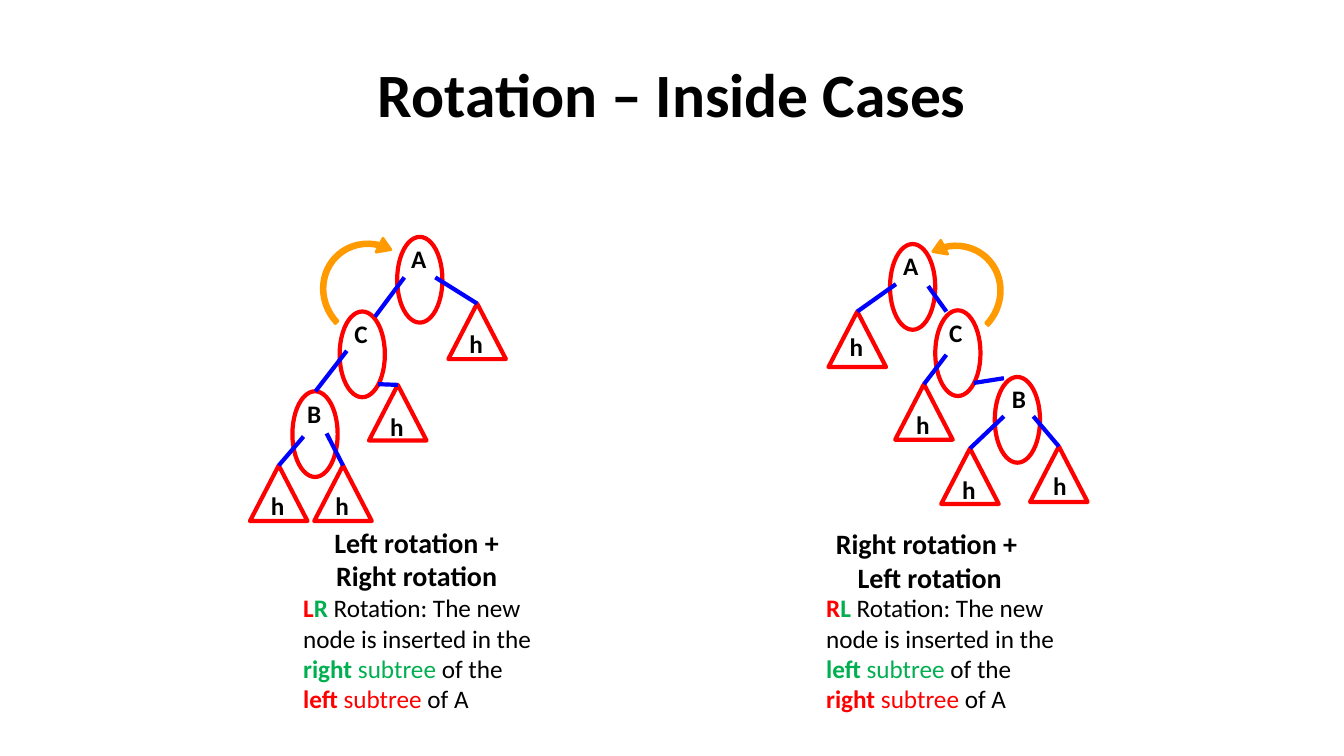
"""Build the slide on inside-case tree rotations."""
from lxml.etree import SubElement
from pptx import Presentation
from pptx.dml.color import RGBColor
from pptx.enum.shapes import MSO_CONNECTOR, MSO_SHAPE
from pptx.enum.text import MSO_ANCHOR, MSO_AUTO_SIZE, PP_ALIGN
from pptx.oxml.ns import qn
from pptx.util import Cm, Pt

RED, GREEN, BLUE, GOLD, BLACK = "FF0000", "00B050", "0000FF", "FF9A00", "000000"
TITLE = "Rotation – Inside Cases"
NODE, LEAF, TURN = (1.14, 2.16), (1.45, 1.4), (2.7, 2.82)
CURVE = (0.035, 9.055, 194.768, 108, 0.072)

# nodes: name, left, top, label indent, label width
# leaves: left, top, label shift, end of the line at the parent
CASES = [
    {
        "nodes": [("A", 10.01, 5.97, 0.1, 1.14), ("C", 8.56, 7.85, 0.12, 0.81),
                  ("B", 7.37, 9.86, 0.12, 0.81)],
        "leaves": [(11.3, 7.65, 0.28, 0.25, 10.97, 6.99), (9.3, 9.7, 0.28, 0.28, 9.53, 9.68),
                   (6.3, 11.73, 0.28, 0.25, 7.65, 11), (7.92, 11.73, 0.28, 0.25, 8.23, 10.92)],
        "links": [(9.45, 7.98, 10.19, 6.99), (7.95, 9.86, 8.74, 8.84)],
        "turn": (7.98, 5.92, 316.9, False),
        "head": (6.73, 12.85, "Left rotation +\vRight rotation"),
        "note": (7.39, "L", "R", "right", "left"),
    },
    {
        "nodes": [("A", 22.43, 6.15, 0.08, 1.14), ("C", 23.57, 7.82, 0.1, 0.81),
                  ("B", 25.07, 9.5, 0.18, 0.81)],
        "leaves": [(20.88, 7.85, 0.28, 0.13, 22.58, 7.16), (22.56, 9.68, 0.28, 0.25, 23.85, 8.94),
                   (23.72, 11.3, 0.28, 0.28, 25.3, 10.49), (25.96, 11.25, 0.33, 0.23, 26.04, 10.49)],
        "links": [(23.85, 7.85, 23.39, 7.21), (24.54, 9.65, 25.3, 9.53)],
        "turn": (22.68, 5.97, 43.1, True),
        "head": (19.66, 12.9, "Right rotation + \vLeft rotation"),
        "note": (20.57, "R", "L", "left", "right"),
    },
]


def paint(hue):
    """Turn a hex string into a colour."""
    return RGBColor.from_string(hue)


def style(font, size, hue=BLACK, bold=True):
    """Set the look of a font."""
    font.name, font.size, font.bold = "Calibri", Pt(size), bold
    font.color.rgb = paint(hue)


def draw(slide, kind, left, top, size, hue, width):
    """Add an unfilled outline."""
    shape = slide.shapes.add_shape(kind, Cm(left), Cm(top), *map(Cm, size))
    shape.shadow.inherit = False
    shape.fill.background()
    shape.line.color.rgb, shape.line.width = paint(hue), Pt(width)
    return shape


def join(slide, ends):
    """Add a blue tree edge."""
    line = slide.shapes.add_connector(MSO_CONNECTOR.STRAIGHT, *map(Cm, ends))
    line.line.color.rgb, line.line.width = paint(BLUE), Pt(3)
    SubElement(line._element.spPr, qn("a:effectLst"))
    return line


def frame(slide, left, top, wide, high):
    """Add a wrapping text box and return its text frame."""
    text = slide.shapes.add_textbox(*map(Cm, (left, top, wide, high))).text_frame
    text.word_wrap, text.auto_size = True, MSO_AUTO_SIZE.SHAPE_TO_FIT_TEXT
    return text


def label(slide, left, top, wide, high, words, size, align=PP_ALIGN.LEFT):
    """Add a bold label with deep margins."""
    text = frame(slide, left, top, wide, high)
    text.margin_left = text.margin_right = Cm(0.25)
    text.margin_top = text.margin_bottom = Cm(0.38)
    para = text.paragraphs[0]
    para.text, para.alignment = words, align
    style(para.font, size)


def explain(slide, left, first, second, inner, outer):
    """Add the coloured note under a tree."""
    para = frame(slide, left, 14.81, 6.35, 3.33).paragraphs[0]
    for words, hue, bold in [
        (first, RED, True), (second, GREEN, True),
        (" Rotation: The new node is inserted in the ", BLACK, False),
        (inner, GREEN, True), (" subtree", GREEN, False), (" of the ", BLACK, False),
        (outer, RED, True), (" subtree", RED, False), (" of A", BLACK, False),
    ]:
        run = para.add_run()
        run.text = words
        style(run.font, 18, hue, bold)


def plot(slide, case):
    """Draw one tree with its arrow and words."""
    for name, left, top, indent, wide in case["nodes"]:
        draw(slide, MSO_SHAPE.OVAL, left, top, NODE, RED, 3)
        label(slide, left + indent, top - 0.21, wide, 1.55, name, 18)
    for left, top, right, down, *end in case["leaves"]:
        leaf = draw(slide, MSO_SHAPE.ISOSCELES_TRIANGLE, left, top, LEAF, RED, 3)
        join(slide, (left + LEAF[0] / 2, top, *end)).begin_connect(leaf, 0)
        label(slide, left + right, top + down, 1.14, 1.55, "h", 18)
    for ends in case["links"]:
        join(slide, ends)

    left, top, angle, flip = case["turn"]
    turn = draw(slide, MSO_SHAPE.CIRCULAR_ARROW, left, top, TURN, GOLD, 2)
    turn.fill.solid()
    turn.fill.fore_color.rgb = paint(GOLD)
    turn.rotation = angle
    for spot, value in enumerate(CURVE):
        turn.adjustments[spot] = value
    if flip:
        turn._element.spPr.find(qn("a:xfrm")).set("flipH", "1")

    left, top, words = case["head"]
    explain(slide, *case["note"])
    label(slide, left, top, 7.54, 2.49, words, 20, PP_ALIGN.CENTER)


def main():
    """Make and save the slide."""
    deck = Presentation()
    deck.slide_width, deck.slide_height = Cm(33.87), Cm(19.05)
    slide = deck.slides.add_slide(deck.slide_layouts[5])
    title = slide.shapes.title
    title.left, title.top, title.width, title.height = map(Cm, (1.7, 0.76, 30.48, 3.18))
    text = title.text_frame
    text.text, text.vertical_anchor = TITLE, MSO_ANCHOR.MIDDLE
    para = text.paragraphs[0]
    para.alignment = PP_ALIGN.CENTER
    style(para.font, 44)
    for case in CASES:
        plot(slide, case)
    deck.save("out.pptx")


if __name__ == "__main__":
    main()
